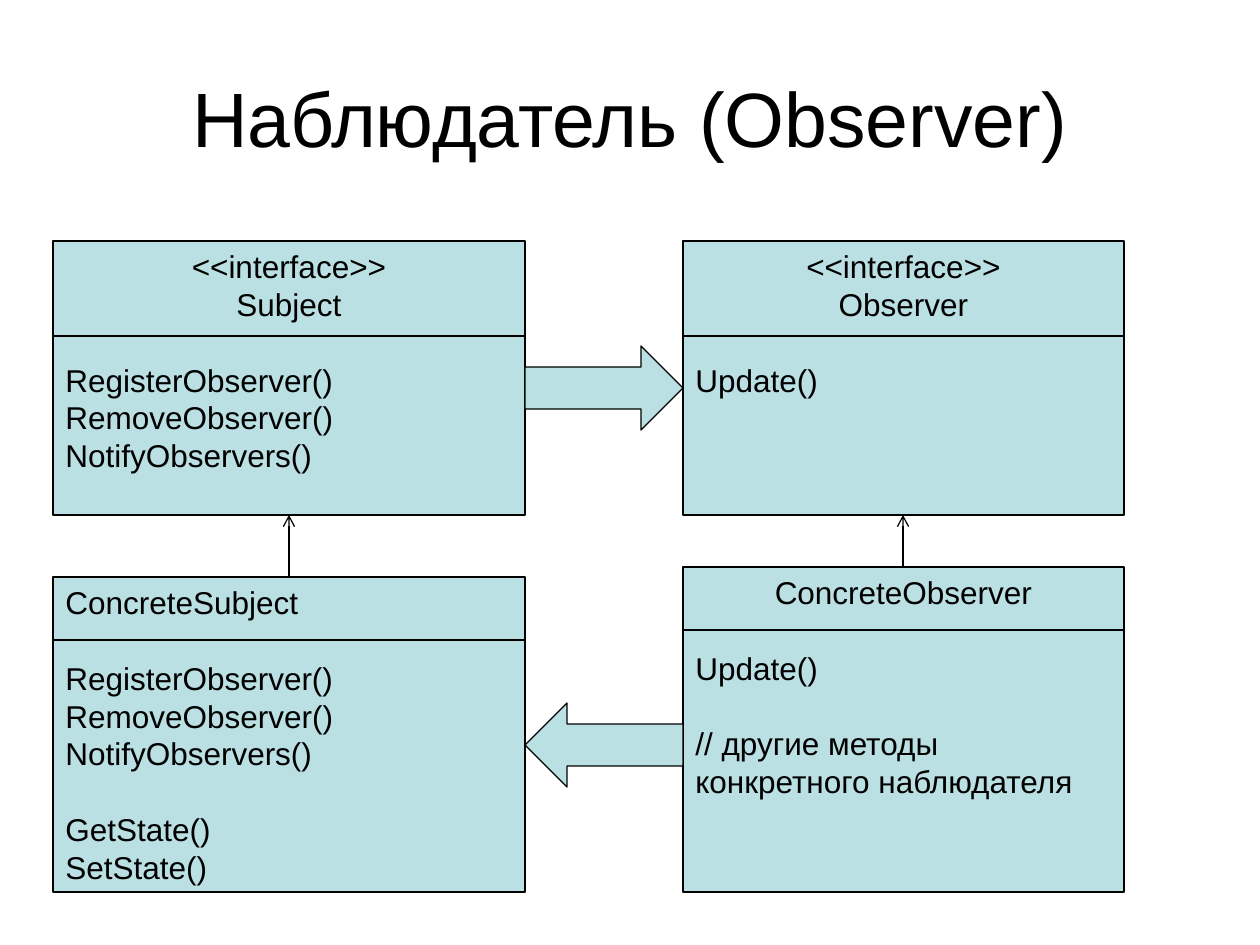
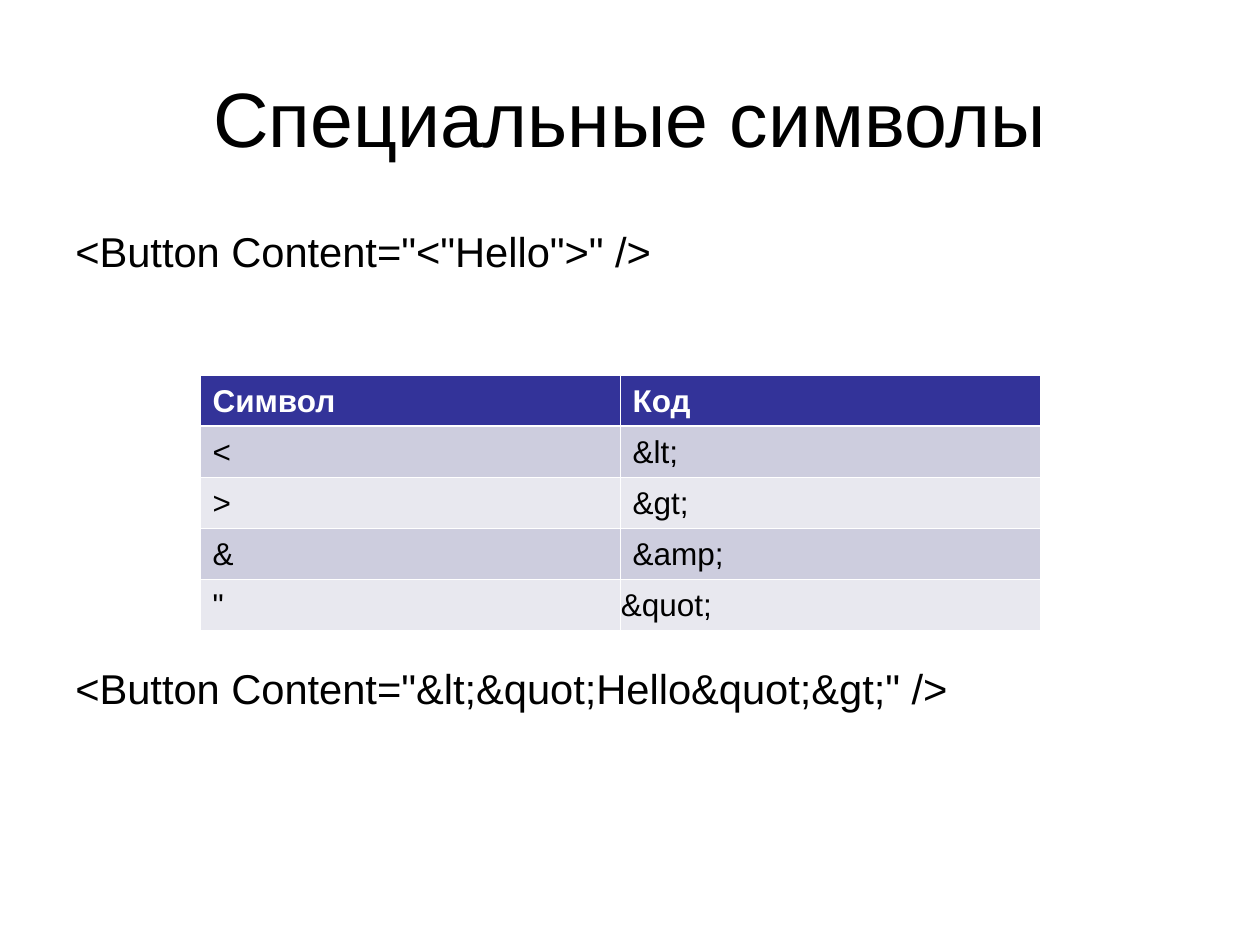
from lxml import etree
from pptx import Presentation
from pptx import util as u
from pptx.dml.color import RGBColor
from pptx.enum import shapes, text
from pptx.oxml.ns import qn

SCALE = 914400 / 126
COLORS = {
    "ink": "000000",
    "paper": "FFFFFF",
    "class_fill": "BBE0E3",
    "table_head": "333399",
    "row_dark": "CDCDDE",
    "row_light": "E8E8EF",
}
FONT = "Arial"
LINE_WIDTH = 0.75
TITLE_SIZE, BODY_SIZE, CODE_SIZE = 44, 18, 23.8
LEADING = 1.2
TITLE_BOX = (63, 38, 1134, 157)


def px(value):
    """Turn pixels into EMU."""
    return u.Emu(round(value * SCALE))


def color(name):
    """Look up a colour of the palette."""
    return RGBColor.from_string(COLORS[name])


class Deck:
    """Holds the shared style and the slide being built."""

    def __init__(self):
        """Start an empty presentation of 10 by 7.5 inches."""
        self.presentation = Presentation()
        self.presentation.slide_width = px(1260)
        self.presentation.slide_height = px(945)
        self.slide = None

    def new_slide(self, title):
        """Add a slide with a centred title."""
        self.slide = self.presentation.slides.add_slide(self.presentation.slide_layouts[5])
        shape = self.slide.shapes.title
        shape.left, shape.top, shape.width, shape.height = map(px, TITLE_BOX)
        shape.text_frame.vertical_anchor = text.MSO_ANCHOR.MIDDLE
        paragraph = shape.text_frame.paragraphs[0]
        paragraph.text = title
        paragraph.alignment = text.PP_ALIGN.CENTER
        self.style_font(paragraph, TITLE_SIZE)

    def style_font(self, paragraph, size, ink="ink", bold=False):
        """Set the font of a whole paragraph."""
        font = paragraph.font
        font.name, font.size, font.bold = FONT, u.Pt(size), bold
        font.color.rgb = color(ink)

    def fill_text(self, frame, groups, size, gap, heading_align=text.PP_ALIGN.LEFT):
        """Set groups of lines with a gap between groups; the first is the heading."""
        frame.word_wrap = True
        frame.vertical_anchor = text.MSO_ANCHOR.TOP
        paragraph = frame.paragraphs[0]
        for group_index, group in enumerate(groups):
            for line_index, line in enumerate(group):
                if group_index or line_index:
                    paragraph = frame.add_paragraph()
                paragraph.text = line
                paragraph.alignment = text.PP_ALIGN.LEFT if group_index else heading_align
                paragraph.line_spacing = u.Pt(size * LEADING)
                if group_index and not line_index:
                    paragraph.space_before = u.Pt(gap)
                self.style_font(paragraph, size)

    def preset(self, kind, left, top, width, height):
        """Add a filled, outlined preset shape."""
        shape = self.slide.shapes.add_shape(kind, px(left), px(top), px(width), px(height))
        shape.shadow.inherit = False
        shape.fill.solid()
        shape.fill.fore_color.rgb = color("class_fill")
        shape.line.color.rgb = color("ink")
        shape.line.width = u.Pt(LINE_WIDTH)
        return shape

    def line(self, start, end, arrow=False):
        """Draw a straight line, with an open arrowhead at its end if asked."""
        connector = self.slide.shapes.add_connector(
            shapes.MSO_CONNECTOR.STRAIGHT, *map(px, start + end))
        connector.line.color.rgb = color("ink")
        connector.line.width = u.Pt(LINE_WIDTH)
        properties = connector.element.spPr
        if arrow:
            outline = properties.find(qn("a:ln"))
            etree.SubElement(outline, qn("a:tailEnd"), type="arrow")
        etree.SubElement(properties, qn("a:effectLst"))

    def class_box(self, box, divider, groups, heading_align):
        """Draw a class: its box, its text and the line under its heading."""
        left, _, width, _ = box
        shape = self.preset(shapes.MSO_SHAPE.RECTANGLE, *box)
        self.fill_text(shape.text_frame, groups, BODY_SIZE, BODY_SIZE * LEADING, heading_align)
        self.line((left, divider), (left + width, divider))

    def code(self, box, lines, gap):
        """Add a text box of code lines set apart by a gap."""
        shape = self.slide.shapes.add_textbox(*map(px, box))
        self.fill_text(shape.text_frame, [[line] for line in lines], CODE_SIZE, gap)

    def cell(self, cell, value, fill, head, below_head):
        """Fill, border and label one table cell."""
        properties = cell._tc.get_or_add_tcPr()
        for side in ("L", "R", "T", "B"):
            thick = (head and side == "B") or (below_head and side == "T")
            border = etree.SubElement(properties, qn("a:ln" + side),
                                      w=str(u.Pt(1.5 if thick else 0.45)))
            solid = etree.SubElement(border, qn("a:solidFill"))
            etree.SubElement(solid, qn("a:srgbClr"), val=COLORS["paper"])
        cell.fill.solid()
        cell.fill.fore_color.rgb = color(fill)
        self.fill_text(cell.text_frame, [[value]], BODY_SIZE, 0)
        self.style_font(cell.text_frame.paragraphs[0], BODY_SIZE,
                        "paper" if head else "ink", head)

    def table(self, left, top, column_width, row_height, rows):
        """Add a table with a heading row and banded rows."""
        columns = len(rows[0])
        table = self.slide.shapes.add_table(
            len(rows), columns, px(left), px(top),
            px(column_width * columns), px(row_height * len(rows))).table
        for row, values in enumerate(rows):
            fill = "table_head" if row == 0 else "row_dark" if row % 2 else "row_light"
            for column, value in enumerate(values):
                self.cell(table.cell(row, column), value, fill, row == 0, row == 1)
        return table


def observer_slide(deck):
    """Class diagram of the observer pattern."""
    deck.new_slide("Наблюдатель (Observer)")
    left, left_width = 53, 472
    right, right_width = 683, 441
    top, middle, bottom = 241, 515, 892
    subject_top, observer_top = 577, 567
    gap_left = left + left_width
    gap_width = right - gap_left
    center, start = text.PP_ALIGN.CENTER, text.PP_ALIGN.LEFT
    methods = ["RegisterObserver()", "RemoveObserver()", "NotifyObservers()"]

    deck.class_box((left, top, left_width, middle - top), 336,
                   [["<<interface>>", "Subject"], methods], center)
    deck.class_box((right, top, right_width, middle - top), 336,
                   [["<<interface>>", "Observer"], ["Update()"]], center)
    deck.class_box((left, subject_top, left_width, bottom - subject_top), 640,
                   [["ConcreteSubject"], methods, ["GetState()", "SetState()"]], start)
    deck.class_box((right, observer_top, right_width, bottom - observer_top), 630,
                   [["ConcreteObserver"], ["Update()"],
                    ["// другие методы конкретного наблюдателя"]], center)

    for x, y in ((left + left_width // 2, subject_top),
                 (right + right_width // 2, observer_top)):
        deck.line((x, y), (x, middle), arrow=True)
    deck.preset(shapes.MSO_SHAPE.RIGHT_ARROW, gap_left, 346, gap_width, 84)
    deck.preset(shapes.MSO_SHAPE.LEFT_ARROW, gap_left, 703, gap_width, 84)


def symbols_slide(deck):
    """Table of special symbols between two code samples."""
    deck.new_slide("Специальные символы")
    deck.code((63, 220, 1134, 624),
              ['<Button Content="<"Hello">" />',
               '<Button Content="&lt;&quot;Hello&quot;&gt;" />'], 221)
    table = deck.table(200, 375, 420, 51, [
        ("Символ", "Код"),
        ("<", "&lt;"),
        (">", "&gt;"),
        ("&", "&amp;"),
        ('"', "&quot;"),
    ])
    last_cell = table.cell(4, 1)
    last_cell.margin_left = last_cell.margin_right = px(1)


deck = Deck()
observer_slide(deck)
symbols_slide(deck)
deck.presentation.save("out.pptx")
